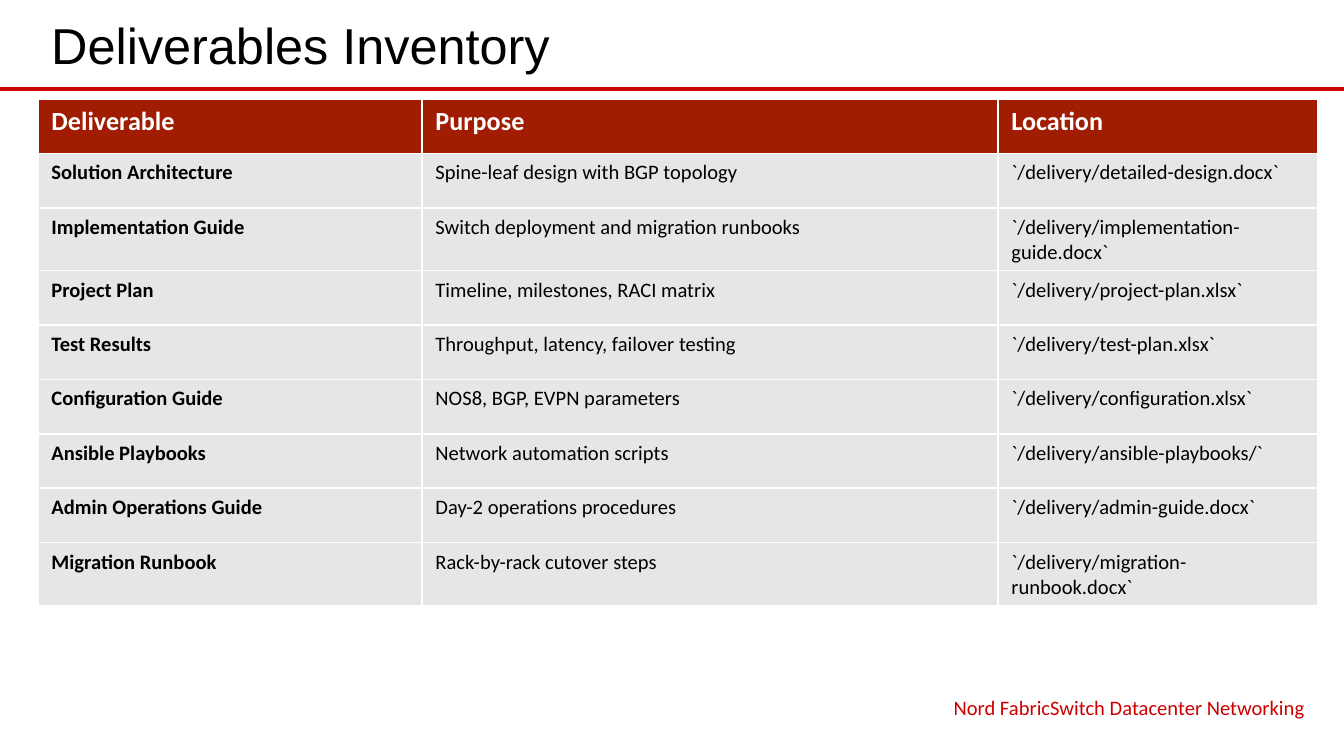
from lxml.etree import SubElement
from pptx import Presentation
from pptx.dml.color import RGBColor
from pptx.enum.shapes import MSO_CONNECTOR
from pptx.enum.text import MSO_ANCHOR, PP_ALIGN
from pptx.oxml.ns import qn
from pptx.util import Pt

PX = 914400 / 134.4
COLORS = {
    "rule": "CC0000",
    "header": "A01C02",
    "body": "E7E6E6",
    "text": "000000",
    "white": "FFFFFF",
}


def px(*lengths):
    return [round(length * PX) for length in lengths]


def style_text(paragraph, font_name, size, color, bold=False):
    for run in paragraph.runs:
        run.font.name = font_name
        run.font.size = Pt(size)
        run.font.bold = bold
        run.font.color.rgb = RGBColor.from_string(COLORS[color])


presentation = Presentation()
presentation.slide_width, presentation.slide_height = px(1344, 756)
slide = presentation.slides.add_slide(presentation.slide_layouts[6])

rule = slide.shapes.add_connector(MSO_CONNECTOR.STRAIGHT, *px(0, 89, 1344, 89))
rule.line.color.rgb = RGBColor.from_string(COLORS["rule"])
rule.line.width = Pt(2.25)
SubElement(rule._element.spPr, qn("a:effectLst"))

labels = [
    ("Deliverables Inventory", (38, 5, 1281, 78), "Arial", 27, "text",
     PP_ALIGN.LEFT, MSO_ANCHOR.MIDDLE),
    ("Nord FabricSwitch Datacenter Networking", (845, 688, 473, 35), "Calibri", 11, "rule",
     PP_ALIGN.RIGHT, MSO_ANCHOR.TOP),
]
for text, box, font_name, size, color, alignment, anchor in labels:
    text_frame = slide.shapes.add_textbox(*px(*box)).text_frame
    text_frame.word_wrap = True
    text_frame.vertical_anchor = anchor
    text_frame.text = text
    paragraph = text_frame.paragraphs[0]
    paragraph.alignment = alignment
    style_text(paragraph, font_name, size, color)

deliverables = [
    ("Deliverable", "Purpose", "Location"),
    ("Solution Architecture", "Spine-leaf design with BGP topology",
     "`/delivery/detailed-design.docx`"),
    ("Implementation Guide", "Switch deployment and migration runbooks",
     "`/delivery/implementation-guide.docx`"),
    ("Project Plan", "Timeline, milestones, RACI matrix",
     "`/delivery/project-plan.xlsx`"),
    ("Test Results", "Throughput, latency, failover testing",
     "`/delivery/test-plan.xlsx`"),
    ("Configuration Guide", "NOS8, BGP, EVPN parameters",
     "`/delivery/configuration.xlsx`"),
    ("Ansible Playbooks", "Network automation scripts",
     "`/delivery/ansible-playbooks/`"),
    ("Admin Operations Guide", "Day-2 operations procedures",
     "`/delivery/admin-guide.docx`"),
    ("Migration Runbook", "Rack-by-rack cutover steps",
     "`/delivery/migration-runbook.docx`"),
]
table = slide.shapes.add_table(
    len(deliverables), len(deliverables[0]), *px(38, 99, 1280, 490)
).table
for column, width in zip(table.columns, px(384, 576, 320)):
    column.width = width

for row_index, values in enumerate(deliverables):
    is_header = row_index == 0
    for column_index, value in enumerate(values):
        cell = table.cell(row_index, column_index)
        cell.fill.solid()
        cell.fill.fore_color.rgb = RGBColor.from_string(
            COLORS["header" if is_header else "body"]
        )
        cell.text_frame.text = value
        style_text(
            cell.text_frame.paragraphs[0],
            "Calibri",
            14 if is_header else 11,
            "white" if is_header else "text",
            bold=is_header or column_index == 0,
        )

presentation.save("out.pptx")
